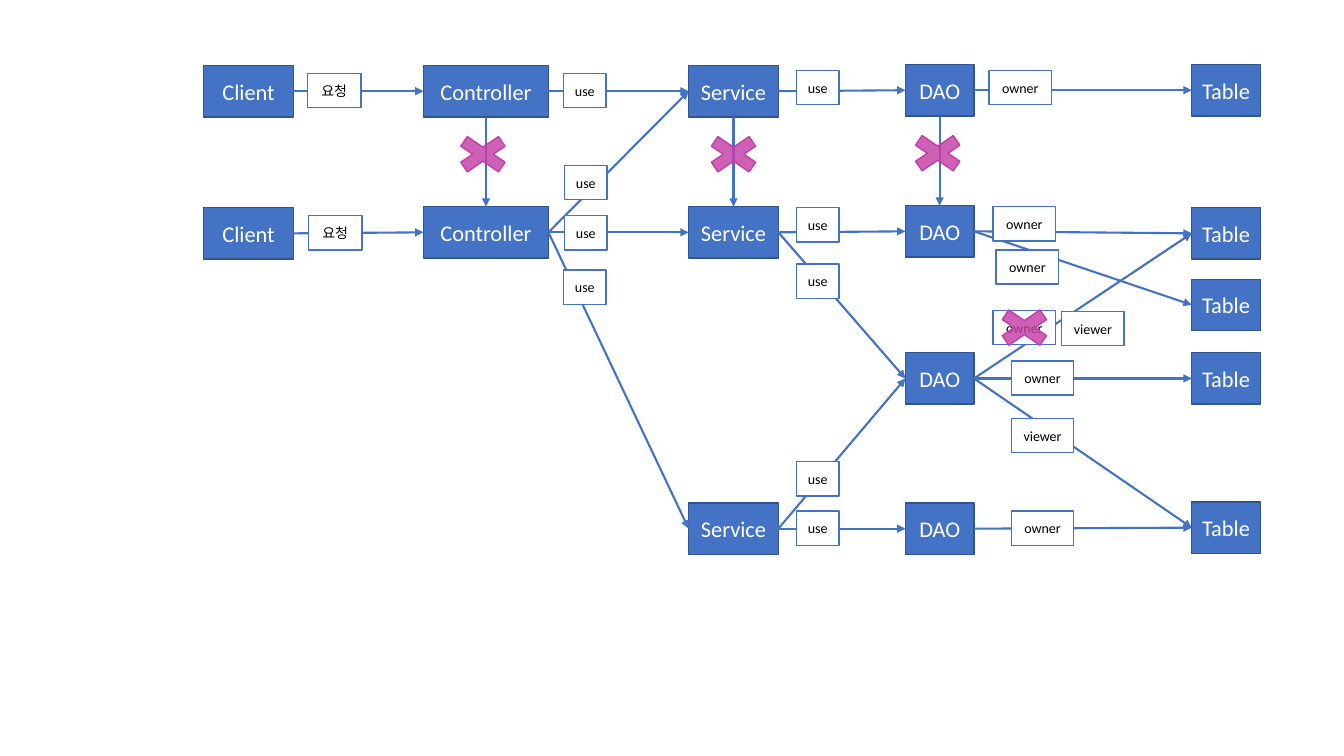
from dataclasses import dataclass

from lxml import etree
from pptx import Presentation
from pptx.dml.color import RGBColor
from pptx.enum.shapes import MSO_CONNECTOR, MSO_SHAPE
from pptx.enum.text import MSO_ANCHOR, PP_ALIGN
from pptx.oxml.ns import qn
from pptx.util import Inches, Pt

RECTANGLE = MSO_SHAPE.RECTANGLE
MULTIPLY = MSO_SHAPE.MATH_MULTIPLY
STRAIGHT = MSO_CONNECTOR.STRAIGHT
MIDDLE = MSO_ANCHOR.MIDDLE
CENTER = PP_ALIGN.CENTER
TOP, LEFT, BOTTOM, RIGHT = range(4)


@dataclass(frozen=True)
class Theme:
    font: str = "Calibri"
    layer_size: int = 16
    label_size: int = 10
    blue: RGBColor = RGBColor(0x44, 0x72, 0xC4)
    dark_blue: RGBColor = RGBColor(0x32, 0x54, 0x91)
    pink: RGBColor = RGBColor(0xC4, 0x3E, 0xA7)
    white: RGBColor = RGBColor(0xFF, 0xFF, 0xFF)
    black: RGBColor = RGBColor(0, 0, 0)
    cross_alpha: int = 82000


THEME = Theme()
LAYER_HEIGHT = 0.51
LABEL_HEIGHT = 0.34
CROSS_WIDTH, CROSS_HEIGHT = 0.72, 0.49
LABEL_WIDTHS = {"요청": 0.53, "use": 0.42, "owner": 0.62, "viewer": 0.62}

# Layer: left, width, tops of its boxes
LAYERS = {
    "Client": (2.02, 0.89, (0.65, 2.06)),
    "Controller": (4.2, 1.24, (0.65, 2.05)),
    "Service": (6.83, 0.89, (0.65, 2.05, 4.99)),
    "DAO": (8.98, 0.68, (0.64, 2.04, 3.5, 4.99)),
    "Table": (11.82, 0.68, (0.64, 2.06, 2.77, 3.5, 4.98)),
}

# Source, target, label, label offset from the source's top right corner
CALLS = [
    (("Client", 1), ("Controller", 1), "요청", 0.14, 0.08),
    (("Client", 2), ("Controller", 2), "요청", 0.15, 0.08),
    (("Controller", 1), ("Service", 1), "use", 0.15, 0.08),
    (("Controller", 2), ("Service", 1), "use", 0.16, -0.41),
    (("Controller", 2), ("Service", 2), "use", 0.16, 0.09),
    (("Controller", 2), ("Service", 3), "use", 0.15, 0.63),
    (("Service", 1), ("DAO", 1), "use", 0.18, 0.05),
    (("Service", 2), ("DAO", 2), "use", 0.18, 0.01),
    (("Service", 2), ("DAO", 3), "use", 0.18, 0.57),
    (("Service", 3), ("DAO", 3), "use", 0.18, -0.41),
    (("Service", 3), ("DAO", 4), "use", 0.18, 0.08),
    (("DAO", 1), ("Table", 1), "owner", 0.15, 0.06),
    (("DAO", 2), ("Table", 2), "owner", 0.19, 0.01),
    (("DAO", 2), ("Table", 3), "owner", 0.22, 0.44),
    (("DAO", 3), ("Table", 2), "viewer", 0.87, -0.41),
    (("DAO", 3), ("Table", 4), "owner", 0.37, 0.08),
    (("DAO", 3), ("Table", 5), "viewer", 0.37, 0.65),
    (("DAO", 4), ("Table", 5), "owner", 0.37, 0.08),
]
FORBIDDEN_OWNER = (("DAO", 3), 0.19, -0.42)
FORBIDDEN_LAYERS = {"Controller": -0.03, "Service": 0, "DAO": -0.02}


def add_block(slide, kind, box, fill, outline):
    block = slide.shapes.add_shape(kind, *box)
    block.shadow.inherit = False
    block.fill.solid()
    block.fill.fore_color.rgb = fill
    block.line.color.rgb = outline
    block.line.width = Pt(1)
    return block


def write(block, wording, size, color):
    frame = block.text_frame
    frame.word_wrap = True
    frame.vertical_anchor = MIDDLE
    frame.margin_left = frame.margin_right = 0
    frame.margin_top = frame.margin_bottom = 0
    paragraph = frame.paragraphs[0]
    paragraph.alignment = CENTER
    run = paragraph.add_run()
    run.text = wording
    run.font.name = THEME.font
    run.font.size = Pt(size)
    run.font.color.rgb = color


def add_layer(slide, layer, left, width, tops):
    """Stack one layer's boxes and return them keyed by layer and row."""
    boxes = {}
    for row, top in enumerate(tops, 1):
        box = [Inches(n) for n in (left, top, width, LAYER_HEIGHT)]
        block = add_block(slide, RECTANGLE, box, THEME.blue, THEME.dark_blue)
        write(block, layer, THEME.layer_size, THEME.white)
        boxes[layer, row] = block
    return boxes


def add_arrow(slide, source, source_side, target, target_side):
    arrow = slide.shapes.add_connector(STRAIGHT, 0, 0, 0, 0)
    arrow.begin_connect(source, source_side)
    arrow.end_connect(target, target_side)
    arrow.line.color.rgb = THEME.blue
    arrow.line.width = Pt(1.5)
    properties = arrow.line._get_or_add_ln()
    etree.SubElement(properties, qn("a:tailEnd"), type="triangle")
    etree.SubElement(properties.getparent(), qn("a:effectLst"))


def add_label(slide, source, wording, dx, dy):
    box = (source.left + source.width + Inches(dx), source.top + Inches(dy),
           Inches(LABEL_WIDTHS[wording]), Inches(LABEL_HEIGHT))
    label = add_block(slide, RECTANGLE, box, THEME.white, THEME.blue)
    write(label, wording, THEME.label_size, THEME.black)
    return label


def add_cross(slide, center_x, center_y):
    width, height = Inches(CROSS_WIDTH), Inches(CROSS_HEIGHT)
    box = (center_x - width // 2, center_y - height // 2, width, height)
    cross = add_block(slide, MULTIPLY, box, THEME.pink, THEME.pink)
    color = cross.fill._xPr.find(qn("a:solidFill"))[0]
    etree.SubElement(color, qn("a:alpha"), val=str(THEME.cross_alpha))


def add_calls(slide, boxes):
    for source, target, *_ in CALLS:
        add_arrow(slide, boxes[source], RIGHT, boxes[target], LEFT)
    for source, _, wording, dx, dy in CALLS:
        add_label(slide, boxes[source], wording, dx, dy)


def add_forbidden(slide, boxes):
    """Cross out calls inside a layer and the second owner of a table."""
    for layer, shift in FORBIDDEN_LAYERS.items():
        upper, lower = boxes[layer, 1], boxes[layer, 2]
        add_arrow(slide, upper, BOTTOM, lower, TOP)
        add_cross(slide, upper.left + upper.width // 2 + Inches(shift),
                  upper.top + Inches(0.88))
    source, dx, dy = FORBIDDEN_OWNER
    owner = add_label(slide, boxes[source], "owner", dx, dy)
    add_cross(slide, owner.left + owner.width // 2,
              owner.top + owner.height // 2)


def main():
    deck = Presentation()
    deck.slide_width, deck.slide_height = Inches(13.33), Inches(7.5)
    slide = deck.slides.add_slide(deck.slide_layouts[6])
    boxes = {}
    for layer, (left, width, tops) in LAYERS.items():
        boxes.update(add_layer(slide, layer, left, width, tops))
    add_calls(slide, boxes)
    add_forbidden(slide, boxes)
    deck.save("out.pptx")


if __name__ == "__main__":
    main()
